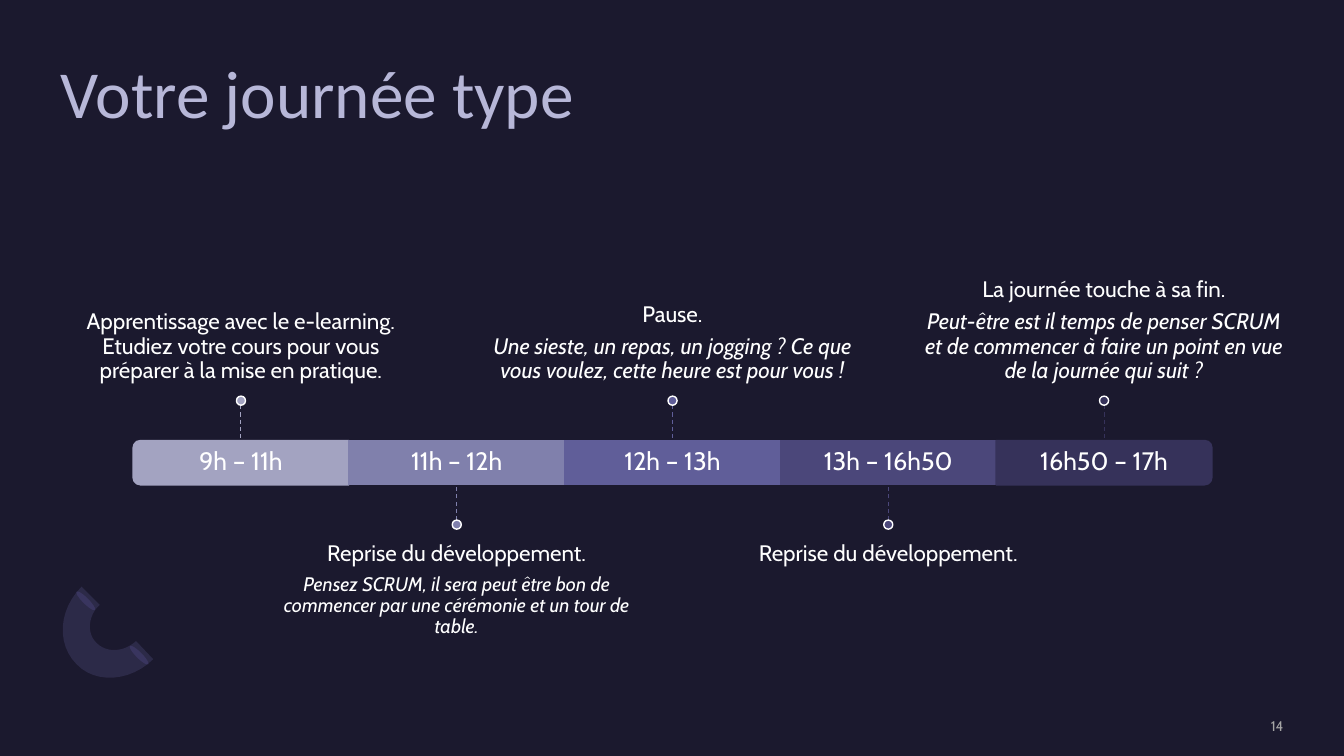
from lxml import etree
from pptx import Presentation, util as u
from pptx.dml.color import RGBColor
from pptx.enum import dml, shapes, text
from pptx.oxml.ns import qn

# Content: hours, bar colour, paragraphs as (wording, size, italic)
TITLE = "Votre journée type"
PAGE = "14"
STEPS = [
    ("9h – 11h", "lilac", [
        ("Apprentissage avec le e-learning. Etudiez votre cours pour vous "
         "préparer à la mise en pratique.", 16, False)]),
    ("11h – 12h", "lavender", [
        ("Reprise du développement.", 16, False),
        ("Pensez SCRUM, il sera peut être bon de commencer par une cérémonie "
         "et un tour de table.", 14, True)]),
    ("12h – 13h", "violet", [
        ("Pause.", 16, False),
        ("Une sieste, un repas, un jogging ? Ce que vous voulez, cette heure "
         "est pour vous !", 16, True)]),
    ("13h – 16h50", "purple", [
        ("Reprise du développement.", 16, False)]),
    ("16h50 – 17h", "indigo", [
        ("La journée touche à sa fin.", 16, False),
        ("Peut-être est il temps de penser SCRUM et de commencer à faire un "
         "point en vue de la journée qui suit ?", 16, True)]),
]
COLORS = {
    "background": "1B192E", "title": "B7B7D8", "white": "FFFFFF", "page": "A5A5A5",
    "lilac": "A3A3C1", "lavender": "8080AC", "violet": "605E99",
    "purple": "4B477A", "indigo": "36325A", "arc": "746EB3", "arc end": "2B274A",
}

# Timeline geometry, in inches
BAR_LEFT, BAR_TOP, STEP_WIDTH, BAR_HEIGHT = 1.32, 4.37, 2.14, 0.44
STEM, DOT = 0.35, 0.09
NOTE_WIDTH, NOTE_HEIGHT, NOTE_GAP = 3.57, 1.52, 0.13

# Arc outline: each curve is start, two handles, end; straight lines join them
ARC_CURVES = [
    [(0.76, 6.59), (0.56, 6.39), (0.58, 6.05), (0.81, 5.82)],
    [(0.99, 6.0), (0.87, 6.11), (0.86, 6.29), (0.96, 6.38)],
    [(0.96, 6.38), (1.06, 6.48), (1.23, 6.47), (1.35, 6.36)],
    [(1.52, 6.54), (1.3, 6.76), (0.95, 6.79), (0.76, 6.59)],
]
ARC_ENDS = [(1.35, 6.37), (0.82, 5.83)]
CURVE_STEPS = 12


def rgb(name):
    return RGBColor.from_string(COLORS[name])


def paint(shape, fill, line=None):
    shape.shadow.inherit = False
    shape.fill.solid()
    shape.fill.fore_color.rgb = rgb(fill)
    if line:
        shape.line.color.rgb = rgb(line)
        shape.line.width = u.Pt(1)
    else:
        shape.line.fill.background()


def add_preset(slide, kind, left, top, width, height, fill, line=None, rotation=0):
    shape = slide.shapes.add_shape(kind, *map(u.Inches, (left, top, width, height)))
    shape.rotation = rotation
    paint(shape, fill, line)
    return shape


def add_text(slide, box, paragraphs, color, font="Cabin", align="CENTER",
             anchor="MIDDLE", insets=(0, 0, 0, 0), spacing=0.9):
    frame = slide.shapes.add_textbox(*map(u.Inches, box)).text_frame
    frame.word_wrap = True
    frame.vertical_anchor = getattr(text.MSO_ANCHOR, anchor)
    (frame.margin_left, frame.margin_top,
     frame.margin_right, frame.margin_bottom) = map(u.Inches, insets)
    for index, (wording, size, italic) in enumerate(paragraphs):
        paragraph = frame.add_paragraph() if index else frame.paragraphs[0]
        paragraph.alignment = getattr(text.PP_ALIGN, align)
        paragraph.line_spacing = spacing
        paragraph.space_before = u.Pt(5.6 if index else 0)
        run = paragraph.add_run()
        run.text = wording
        run.font.name = font
        run.font.size = u.Pt(size)
        run.font.italic = italic
        run.font.color.rgb = rgb(color)


def curve_points(start, handle_1, handle_2, end):
    for step in range(CURVE_STEPS + 1):
        t = step / CURVE_STEPS
        yield tuple(
            u.Inches((1 - t) ** 3 * a + 3 * (1 - t) ** 2 * t * b
                     + 3 * (1 - t) * t ** 2 * c + t ** 3 * d)
            for a, b, c, d in zip(start, handle_1, handle_2, end))


def add_arc(slide):
    for left, top in ARC_ENDS:
        add_preset(slide, shapes.MSO_SHAPE.OVAL, left, top, 0.06, 0.26,
                   "arc end", rotation=315)
    points = [point for curve in ARC_CURVES for point in curve_points(*curve)]
    builder = slide.shapes.build_freeform(*points[0])
    builder.add_line_segments(points[1:], close=True)
    arc = builder.convert_to_shape()
    paint(arc, "arc")
    fill_color = arc._element.spPr.find(qn("a:solidFill"))[0]
    etree.SubElement(fill_color, qn("a:alpha")).set("val", "20000")


def add_segment(slide, index, left, color):
    """Bar segment; the first and last have rounded outer corners."""
    if 0 < index < len(STEPS) - 1:
        return add_preset(slide, shapes.MSO_SHAPE.RECTANGLE, left, BAR_TOP,
                          STEP_WIDTH, BAR_HEIGHT, color, color)
    inset = (STEP_WIDTH - BAR_HEIGHT) / 2
    cap = add_preset(slide, shapes.MSO_SHAPE.ROUND_2_SAME_RECTANGLE, left + inset,
                     BAR_TOP - inset, BAR_HEIGHT, STEP_WIDTH, color, color,
                     rotation=90 if index else 270)
    cap.adjustments[0] = 0.167
    cap.adjustments[1] = 0
    return cap


def add_step(slide, index, hours, color, note):
    left = BAR_LEFT + index * STEP_WIDTH
    center = left + STEP_WIDTH / 2
    above = index % 2 == 0
    edge = BAR_TOP if above else BAR_TOP + BAR_HEIGHT
    stem_end = edge - STEM if above else edge + STEM
    dot_top = stem_end - DOT if above else stem_end
    note_top = dot_top - NOTE_HEIGHT if above else dot_top + DOT

    segment = add_segment(slide, index, left, color)
    add_text(slide, (left, BAR_TOP, STEP_WIDTH, BAR_HEIGHT), [(hours, 18, False)],
             "white", insets=(0.15,) * 4)
    add_text(slide, (center - NOTE_WIDTH / 2, note_top, NOTE_WIDTH, NOTE_HEIGHT),
             note, "white", anchor="BOTTOM" if above else "TOP",
             insets=(0, 0, 0, NOTE_GAP) if above else (0, NOTE_GAP, 0, 0))

    # Dashed stem and its dot
    stem = slide.shapes.add_connector(
        shapes.MSO_CONNECTOR.STRAIGHT,
        *map(u.Inches, (center, stem_end, center, edge)))
    if not segment.rotation:
        stem.end_connect(segment, 0 if above else 2)
    stem.line.color.rgb = rgb(color)
    stem.line.width = u.Pt(0.75)
    stem.line.dash_style = dml.MSO_LINE.DASH
    etree.SubElement(stem._element.spPr, qn("a:effectLst"))
    add_preset(slide, shapes.MSO_SHAPE.OVAL, center - DOT / 2, dot_top, DOT, DOT,
               color, "white")


def main():
    presentation = Presentation()
    presentation.slide_width = u.Inches(13.33)
    presentation.slide_height = u.Inches(7.5)
    slide = presentation.slides.add_slide(presentation.slide_layouts[6])
    slide.background.fill.solid()
    slide.background.fill.fore_color.rgb = rgb("background")

    add_arc(slide)
    add_text(slide, (0.6, 0.6, 12.13, 1.46), [(TITLE, 48, False)], "title",
             font="Calibri", align="LEFT", anchor="TOP")
    for index, (hours, color, note) in enumerate(STEPS):
        add_step(slide, index, hours, color, note)
    add_text(slide, (10.88, 7.12, 1.85, 0.17), [(PAGE, 10, False)], "page",
             align="RIGHT", spacing=1.0)

    presentation.save("out.pptx")


if __name__ == "__main__":
    main()
